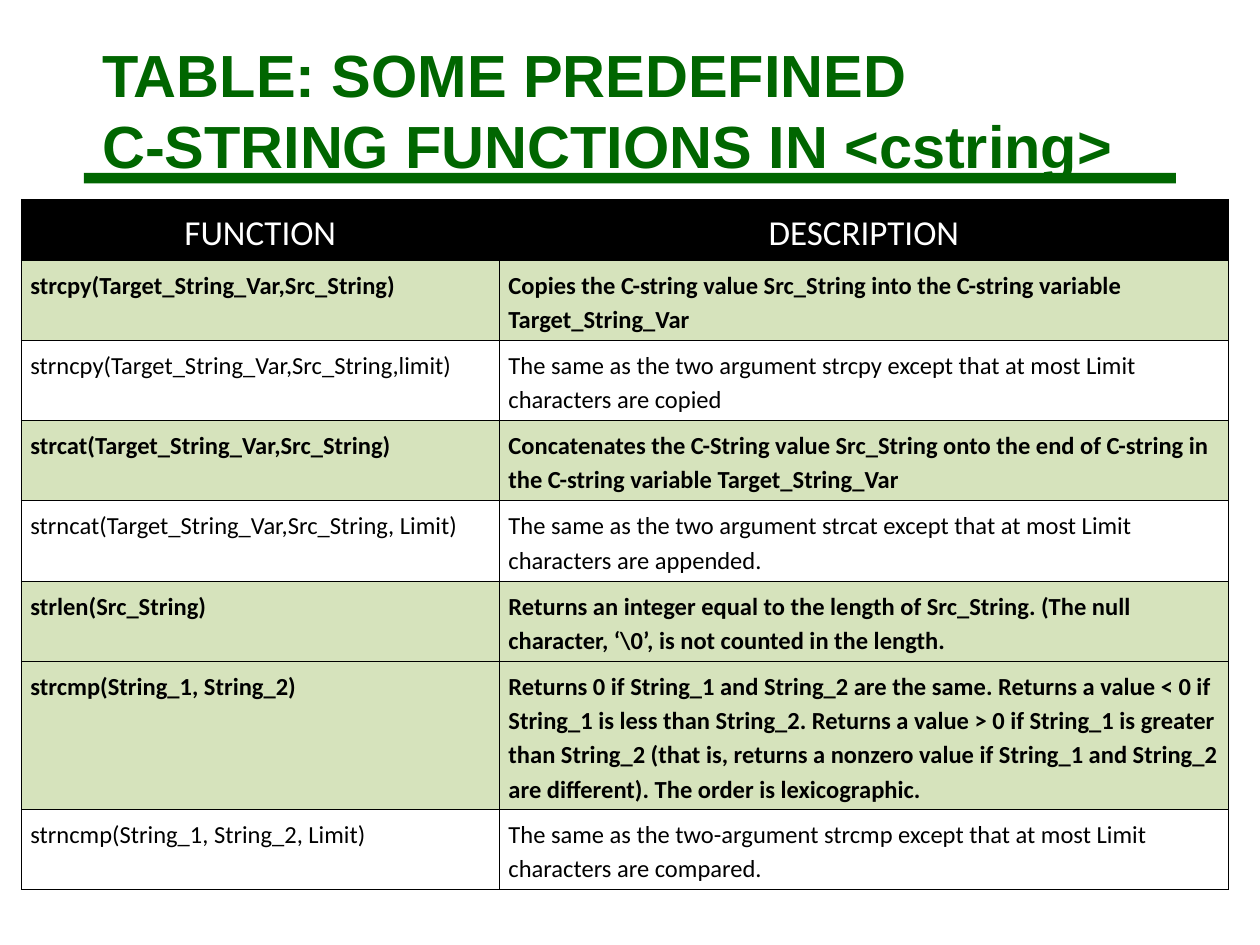
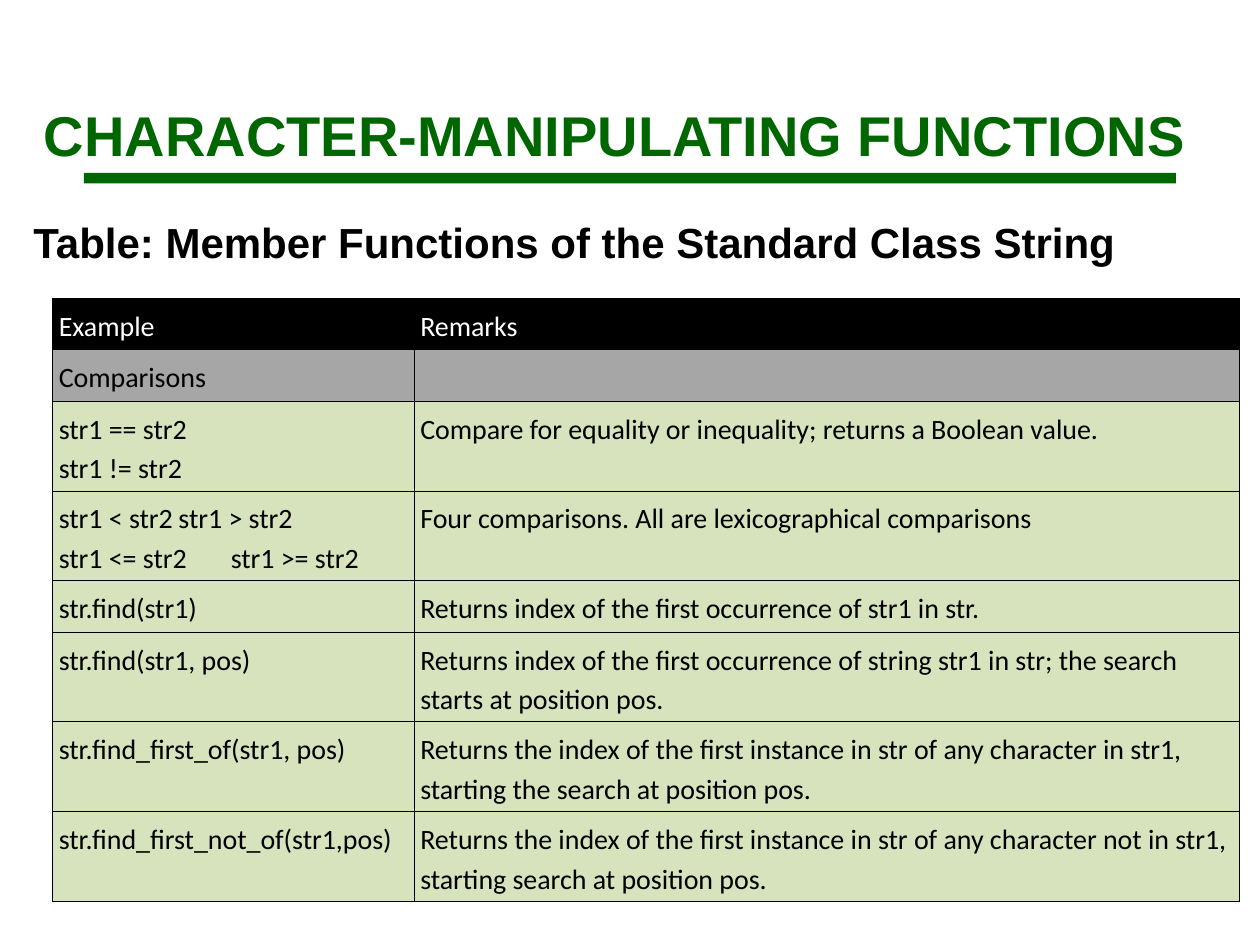
from dataclasses import dataclass

import pptx
import pptx.dml.color
import pptx.enum.shapes
import pptx.enum.text
import pptx.oxml
import pptx.oxml.ns
import pptx.util
from lxml import etree

Pt = pptx.util.Pt
ALIGN = pptx.enum.text.PP_ALIGN


@dataclass(frozen=True)
class Theme:
    green: str = "006600"
    black: str = "000000"
    white: str = "FFFFFF"
    lime: str = "D6E3BC"
    gray: str = "A6A6A6"
    heading_font: str = "Arial"
    table_font: str = "Calibri"
    tall_title: int = 34
    title: int = 32
    caption: int = 24
    wide_header: int = 20
    wide_body: int = 14
    compact: int = 16
    border: float = 0.45
    padding: float = 3.6
    table_spacing: float = 1.15


def rgb(code):
    return pptx.dml.color.RGBColor.from_string(code)


class Deck:
    def __init__(self, theme):
        self.theme = theme
        self.show = pptx.Presentation()
        self.show.slide_width, self.show.slide_height = Pt(720), Pt(540)
        self.slide = None

    def new_slide(self):
        self.slide = self.show.slides.add_slide(self.show.slide_layouts[6])
        rule = self.slide.shapes.add_shape(
            pptx.enum.shapes.MSO_SHAPE.RECTANGLE, Pt(48), Pt(98.8), Pt(624), Pt(6))
        rule.shadow.inherit = False
        rule.fill.solid()
        rule.fill.fore_color.rgb = rgb(self.theme.green)
        rule.line.fill.background()

    def style(self, paragraph, font, size, color, bold):
        for run in paragraph.runs:
            run.font.name = font
            run.font.size = Pt(size)
            run.font.bold = bold
            run.font.color.rgb = rgb(color)

    def heading(self, text, place, size, color, wrap=True):
        frame = self.slide.shapes.add_textbox(*map(Pt, place)).text_frame
        frame.word_wrap = wrap
        frame.text = text
        for paragraph in frame.paragraphs:
            self.style(paragraph, self.theme.heading_font, size, color, True)

    def tab_stop(self, paragraph, position):
        properties = paragraph._p.get_or_add_pPr()
        stops = etree.SubElement(properties, pptx.oxml.ns.qn("a:tabLst"))
        etree.SubElement(stops, pptx.oxml.ns.qn("a:tab"), pos=str(Pt(position)), algn="l")

    def borders(self, cell):
        properties = cell._tc.get_or_add_tcPr()
        for index, side in enumerate("LRTB"):
            properties.insert(index, pptx.oxml.parse_xml(
                f'<a:ln{side} {pptx.oxml.ns.nsdecls("a")} w="{Pt(self.theme.border)}">'
                f'<a:solidFill><a:srgbClr val="{self.theme.black}"/></a:solidFill></a:ln{side}>'))

    def cell(self, cell, text, fill, size, color, bold, align, side_padding, stops=()):
        if fill:
            cell.fill.solid()
            cell.fill.fore_color.rgb = rgb(fill)
        else:
            cell.fill.background()
        self.borders(cell)
        cell.margin_left = cell.margin_right = Pt(side_padding)
        cell.margin_top = cell.margin_bottom = Pt(self.theme.padding)
        cell.text_frame.text = text
        for index, paragraph in enumerate(cell.text_frame.paragraphs):
            paragraph.line_spacing = self.theme.table_spacing
            paragraph.alignment = align
            if index < len(stops):
                self.tab_stop(paragraph, stops[index])
            self.style(paragraph, self.theme.table_font, size, color, bold)

    def table(self, left, top, widths, heights, header, rows, header_size, body_size,
              side_padding, header_align=ALIGN.LEFT, bold_fill=None, tab_stops=()):
        theme = self.theme
        grid = self.slide.shapes.add_table(
            len(heights), len(widths), Pt(left), Pt(top),
            Pt(sum(widths)), Pt(sum(heights))).table
        grid.horz_banding = False
        for column, width in zip(grid.columns, widths):
            column.width = Pt(width)
        for row, height in zip(grid.rows, heights):
            row.height = Pt(height)
        for column, text in enumerate(header):
            self.cell(grid.cell(0, column), text, theme.black, header_size,
                      theme.white, False, header_align, side_padding)
        for row, (fill, *texts) in enumerate(rows, 1):
            bold = bold_fill is not None and fill == bold_fill
            for column, text in enumerate(texts):
                stops = tab_stops if "\t" in text else ()
                self.cell(grid.cell(row, column), text, fill, body_size,
                          theme.black, bold, ALIGN.LEFT, side_padding, stops)


def cstring_functions(deck):
    theme = deck.theme
    deck.new_slide()
    deck.heading("TABLE: SOME PREDEFINED\nC-STRING FUNCTIONS IN <cstring>",
                 (51.3, 18, 592, 89.3), theme.tall_title, theme.green, wrap=False)
    functions = [
        (theme.lime, "strcpy(Target_String_Var,Src_String)",
         "Copies the C-string value Src_String into the C-string variable Target_String_Var"),
        (None, "strncpy(Target_String_Var,Src_String,limit)",
         "The same as the two argument strcpy except that at most Limit characters are copied"),
        (theme.lime, "strcat(Target_String_Var,Src_String)",
         "Concatenates the C-String value Src_String onto the end of C-string in the "
         "C-string variable Target_String_Var"),
        (None, "strncat(Target_String_Var,Src_String, Limit)",
         "The same as the two argument strcat except that at most Limit characters are appended."),
        (theme.lime, "strlen(Src_String)",
         "Returns an integer equal to the length of Src_String. (The null character, ‘\\0’, "
         "is not counted in the length."),
        (theme.lime, "strcmp(String_1, String_2)",
         "Returns 0 if String_1 and String_2 are the same. Returns a value < 0 if String_1 is "
         "less than String_2. Returns a value > 0 if String_1 is greater than String_2 (that is, "
         "returns a nonzero value if String_1 and String_2 are different). "
         "The order is lexicographic."),
        (None, "strncmp(String_1, String_2, Limit)",
         "The same as the two-argument strcmp except that at most Limit characters are compared."),
    ]
    deck.table(12.2, 113.8, (273.2, 416.6), (27.4, *[38.9] * 5, 77.8, 38.9),
               ("FUNCTION", "DESCRIPTION"), functions,
               theme.wide_header, theme.wide_body, 5.2, ALIGN.CENTER, bold_fill=theme.lime)


def string_members(deck):
    theme = deck.theme
    deck.new_slide()
    deck.heading("CHARACTER-MANIPULATING FUNCTIONS", (18, 54, 720, 84),
                 theme.title, theme.green)
    deck.heading("Table: Member Functions of the Standard Class String",
                 (12, 120, 696, 36), theme.caption, theme.black)
    members = [
        ("str1 == str2\nstr1 != str2",
         "Compare for equality or inequality; returns a Boolean value."),
        ("str1 < str2\tstr1 > str2\nstr1 <= str2\tstr1 >= str2",
         "Four comparisons. All are lexicographical comparisons"),
        ("str.find(str1)", "Returns index of the first occurrence of str1 in str."),
        ("str.find(str1, pos)",
         "Returns index of the first occurrence of string str1 in str; "
         "the search starts at position pos."),
        ("str.find_first_of(str1, pos)",
         "Returns the index of the first instance in str of any character in str1, "
         "starting the search at position pos."),
        ("str.find_first_not_of(str1,pos)",
         "Returns the index of the first instance in str of any character not in str1, "
         "starting search at position pos."),
    ]
    rows = [(theme.gray, "Comparisons", "")] + [(theme.lime, *member) for member in members]
    single, double = 22.2, 44.1
    deck.table(30, 170.6, (206.6, 471.6),
               (single, single, double, double, single, double, double, double),
               ("Example", "Remarks"), rows, theme.compact, theme.compact,
               theme.padding, tab_stops=(68.4, 98.3))


def main():
    deck = Deck(Theme())
    cstring_functions(deck)
    string_members(deck)
    deck.show.save("out.pptx")


if __name__ == "__main__":
    main()
